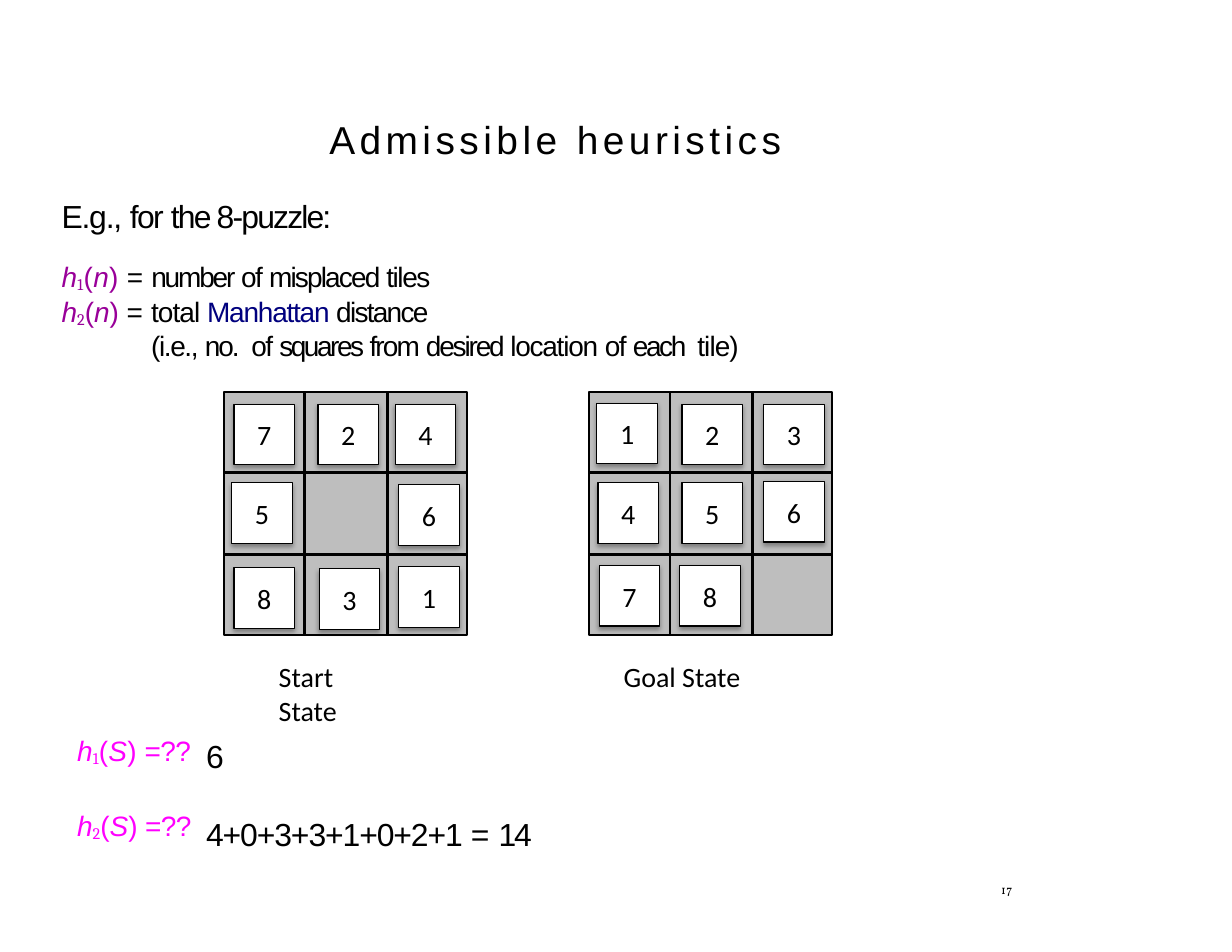
"""Build the slide on admissible heuristics for the 8-puzzle."""
from lxml.etree import SubElement
from pptx import Presentation
from pptx.dml.color import RGBColor
from pptx.enum.shapes import MSO_CONNECTOR, MSO_SHAPE
from pptx.enum.text import MSO_ANCHOR, MSO_AUTO_SIZE, PP_ALIGN
from pptx.oxml.ns import qn
from pptx.util import Inches, Pt

hue = RGBColor.from_string


def say(line, text, size=18, font="Arial", color="000000", space=0, italic=False, base=0):
    run = line.add_run()
    run.text = text
    run.font.size = Pt(size)
    run.font.name = font
    run.font.italic = italic
    run.font.color.rgb = hue(color)
    props = run._r.get_or_add_rPr()
    props.set("spc", str(round(space * 100)))
    props.set("baseline", str(base * 1000))


def term(line, index, arg, color, space):
    say(line, "h", color=color, space=space, italic=True)
    say(line, index, font="Cambria", color=color, space=space, base=-11)
    say(line, "(", color=color, space=space)
    say(line, arg, color=color, space=space, italic=True)
    say(line, ") ", color=color, space=space)


deck = Presentation()
deck.slide_width, deck.slide_height = Inches(11), Inches(8.5)
slide = deck.slides.add_slide(deck.slide_layouts[1])
shapes = slide.shapes

title, body = slide.placeholders
page = shapes.add_textbox(0, 0, 0, 0)
sums = shapes.add_textbox(0, 0, 0, 0)
for item, spot in (
    (title, (0.59, 1.11, 8.44, 1.42)),
    (body, (0.54, 1.76, 6.92, 1.48)),
    (page, (8.91, 7.89, 0.17, 0.2)),
    (sums, (1.83, 6.58, 4.57, 1.03)),
):
    item.left, item.top, item.width, item.height = map(Inches, spot)
    frame = item.text_frame
    frame.margin_left = frame.margin_right = frame.margin_top = frame.margin_bottom = 0
    frame.word_wrap = True
    frame.auto_size = MSO_AUTO_SIZE.NONE
    frame.vertical_anchor = MSO_ANCHOR.TOP

body.text_frame.text = "\n" * 3
sums.text_frame.text = "\n"
head, number = title.text_frame.paragraphs[0], page.text_frame.paragraphs[0]
intro, first, second, note = body.text_frame.paragraphs
count, total = sums.text_frame.paragraphs
for line, left, before in (
    (head, 2.35, 0), (number, 0.03, 0), (intro, 0.01, 0), (first, 0.01, 15.6),
    (second, 0.01, 0.3), (note, 0.81, 0.2), (count, 0.01, 0), (total, 0.01, 25.5),
):
    props = line._p.get_or_add_pPr()
    props.set("marL", str(Inches(left)))
    props.set("indent", "0")
    SubElement(props, qn("a:buNone"))
    line.alignment = PP_ALIGN.LEFT
    line.space_before = Pt(before)

head.line_spacing = Pt(24.1)
number.line_spacing = Pt(8.8)
say(head, "Admissible heuristics", size=25, space=2.9)
say(number, "17", size=8, font="Vollkorn", space=0.2)
term(first, "1", "n", "990099", 0.2)
term(second, "2", "n", "990099", -0.1)
for line, size, parts in (
    (intro, 20.5, (("E.g., ", -0.8), ("for ", -1.1), ("the 8-puzzle:", -1.2))),
    (first, 18, (("= ", 0.1), ("number ", -1.4), ("of ", -1), ("misplaced ", -1.2),
                 ("tiles", -0.9))),
    (second, 18, (("= ", 0.1), ("total ", -0.6), ("Manhattan ", -0.8), ("distance", -1.1))),
    (note, 18, (("(i.e., ", -0.9), ("no.  ", -1.3), ("of ", -1), ("squares ", -1.6),
                ("from ", -1.2), ("desired ", -1.4), ("location ", -0.8), ("of ", -1),
                ("each  ", -1.5), ("tile)", -0.6))),
    (count, 20.5, (("6", -1.5),)),
    (total, 20.5, (("4+0+3+3+1+0+2+1 ", -0.7), ("= ", 0.1), ("14", -1.5))),
):
    for text, space in parts:
        color = "00007E" if text == "Manhattan " else "000000"
        say(line, text, size=size, color=color, space=space)

for index, top, space in (("1", 6.5, 0.1), ("2", 7.17, -0.2)):
    box = shapes.add_textbox(Inches(0.57), Inches(top), Inches(1.28), Inches(0.4))
    box.text_frame.word_wrap = False
    line = box.text_frame.paragraphs[0]
    line._p.get_or_add_pPr().set("marL", str(Inches(0.02)))
    term(line, index, "S", "FF00FF", space)
    say(line, "=??", color="FF00FF", space=-0.4)

top, side, tile = 3.5, 2.17, 0.54
start = (("7", 2.09, 3.61), ("2", 2.84, 3.61), ("4", 3.53, 3.61), ("5", 2.07, 4.31),
         ("6", 3.56, 4.33), ("8", 2.09, 5.07), ("3", 2.85, 5.08), ("1", 3.56, 5.06))
goal = (("1", 5.33, 3.6), ("2", 6.09, 3.61), ("3", 6.82, 3.61), ("4", 5.34, 4.31),
        ("5", 6.09, 4.31), ("6", 6.82, 4.3), ("7", 5.35, 5.05), ("8", 6.07, 5.05))
for left, name, edge, tiles in ((2, "Start State", 2.39, start), (5.26, "Goal State", 5.47, goal)):
    board = shapes.add_shape(
        MSO_SHAPE.RECTANGLE, Inches(left), Inches(top), Inches(side), Inches(side))
    board.shadow.inherit = False
    board.fill.solid()
    board.fill.fore_color.rgb = hue("BEBEBE")
    board.line.color.rgb = hue("000000")
    board.line.width = Pt(1.53)

    right, base = left + side, top + side
    for x1, y1, x2, y2, width in (
        (left, top + 0.72, right, top + 0.72, 2.2),
        (left, top + 1.45, right, top + 1.45, 1.53),
        (left + 0.72, top, left + 0.72, base, 1.53),
        (left + 1.46, top, left + 1.46, base, 1.53),
    ):
        rule = shapes.add_connector(MSO_CONNECTOR.STRAIGHT, *map(Inches, (x1, y1, x2, y2)))
        rule.line.color.rgb = hue("000000")
        rule.line.width = Pt(width)
        SubElement(rule._element.spPr, qn("a:effectLst"))

    for digit, x, y in tiles:
        piece = shapes.add_shape(
            MSO_SHAPE.RECTANGLE, Inches(x), Inches(y), Inches(tile), Inches(tile))
        piece.fill.solid()
        piece.fill.fore_color.rgb = hue("FFFFFF")
        piece.line.color.rgb = hue("000000")
        piece.line.width = Pt(0.75)
        piece.shadow.inherit = False
        glow = SubElement(
            piece._element.spPr.find(qn("a:effectLst")), qn("a:outerShdw"),
            blurRad=str(Pt(3.1)), dist=str(Pt(1.8)), dir="5400000", rotWithShape="0")
        shade = SubElement(glow, qn("a:srgbClr"), val="000000")
        SubElement(shade, qn("a:alpha"), val="35000")
        piece.text_frame.vertical_anchor = MSO_ANCHOR.MIDDLE
        line = piece.text_frame.paragraphs[0]
        line.alignment = PP_ALIGN.CENTER
        say(line, digit, font="Calibri")

    label = shapes.add_textbox(Inches(edge), Inches(5.84), Inches(1.25), Inches(0.4))
    label.text_frame.word_wrap = False
    say(label.text_frame.paragraphs[0], name, font="Calibri")

deck.save("out.pptx")
